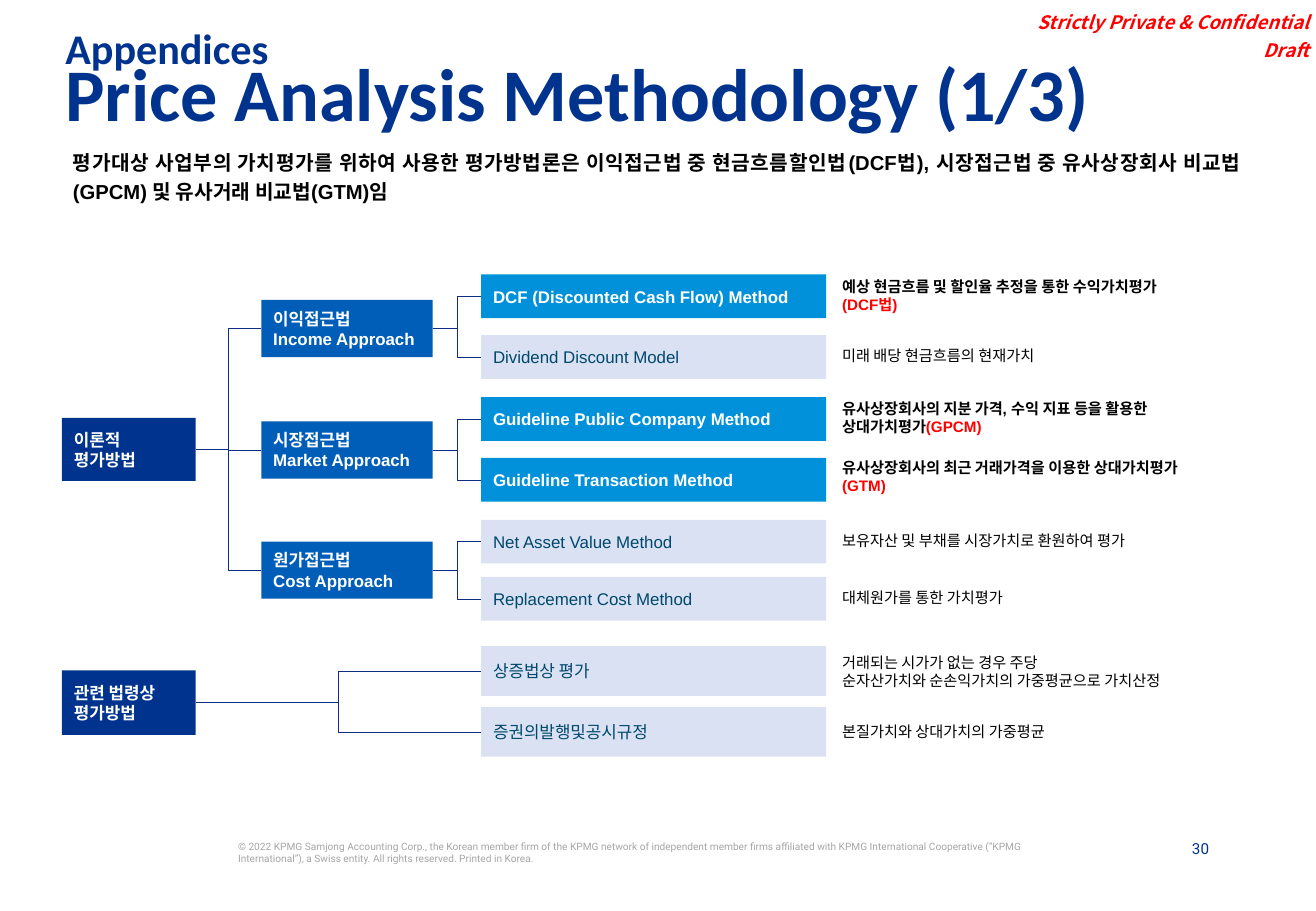
from dataclasses import dataclass

from lxml import etree
from pptx import Presentation
from pptx import util as u
from pptx.dml.color import RGBColor
from pptx.enum import shapes, text
from pptx.oxml import ns

NAVY, BLUE, SKY, PALE = "00338D", "005EB8", "0091DA", "D9E1F2"
WHITE, TEAL, BLACK, RED, GREY, LINE = "FFFFFF", "00486D", "000000", "FF0000", "A6A6A6", "0C2D83"
ROOT_LEFT, APPROACH_LEFT, METHOD_LEFT, NOTE_LEFT = 0.51, 2.15, 3.96, 6.87
ROOT_WIDTH, APPROACH_WIDTH, METHOD_WIDTH, NOTE_WIDTH = 1.1, 1.41, 2.84, 2.92
APPROACH_HEIGHT = 0.47
NOTE_RISE = 0.01


@dataclass
class Method:
    name: str
    note: str
    top: float
    tag: str = ""  # a tagged method is one that was applied
    height: float = 0.36
    note_rise: float = NOTE_RISE


@dataclass
class Approach:
    name: str
    top: float
    methods: list[Method]


@dataclass
class Root:
    name: str
    top: float
    height: float
    approaches: list[Approach]
    methods: list[Method]


@dataclass
class Style:
    size: float
    color: str
    bold: bool = False
    italic: bool = False
    font: str = "Arial"
    align: text.PP_ALIGN = text.PP_ALIGN.LEFT
    line_spacing: float = 1.0
    space_between: float = 0
    hanging: float = 0


ROOTS = [
    Root("이론적\n평가방법", 3.44, 0.52, [
        Approach("이익접근법\nIncome Approach", 2.47, [
            Method("DCF (Discounted Cash Flow) Method",
                   "예상 현금흐름 및 할인율 추정을 통한 수익가치평가", 2.26, "(DCF법)"),
            Method("Dividend Discount Model", "미래 배당 현금흐름의 현재가치", 2.76),
        ]),
        Approach("시장접근법\nMarket Approach", 3.47, [
            Method("Guideline Public Company Method",
                   "유사상장회사의 지분 가격, 수익 지표 등을 활용한 상대가치평가", 3.27, "(GPCM)"),
            Method("Guideline Transaction Method",
                   "유사상장회사의 최근 거래가격을 이용한 상대가치평가", 3.77, "(GTM)", note_rise=0.03),
        ]),
        Approach("원가접근법\nCost Approach", 4.46, [
            Method("Net Asset Value Method", "보유자산 및 부채를 시장가치로 환원하여 평가", 4.28),
            Method("Replacement Cost Method", "대체원가를 통한 가치평가", 4.75),
        ]),
    ], []),
    Root("관련 법령상\n평가방법", 5.52, 0.53, [], [
        Method("상증법상 평가",
               "거래되는 시가가 없는 경우 주당\v순자산가치와 순손익가치의 가중평균으로 가치산정",
               5.32, height=0.41, note_rise=0),
        Method("증권의발행및공시규정", "본질가치와 상대가치의 가중평균", 5.82, height=0.41, note_rise=0),
    ]),
]


def rgb(color: str) -> RGBColor:
    return RGBColor.from_string(color)


def write(shape, content: str, style: Style, insets=(0.1, 0.05, 0.1, 0.05),
          anchor=text.MSO_ANCHOR.TOP, wrap=True) -> None:
    """Fill a shape with one styled paragraph per line of content."""
    frame = shape.text_frame
    frame.word_wrap = wrap
    frame.vertical_anchor = anchor
    (frame.margin_left, frame.margin_top,
     frame.margin_right, frame.margin_bottom) = map(u.Inches, insets)
    for index, line in enumerate(content.split("\n")):
        para = frame.add_paragraph() if index else frame.paragraphs[0]
        para.text = line
        para.alignment = style.align
        para.line_spacing = style.line_spacing
        if index and style.space_between:
            para.space_before = u.Pt(style.space_between)
        if style.hanging:
            properties = para._p.get_or_add_pPr()
            properties.set("marL", str(u.Inches(style.hanging)))
            properties.set("indent", str(-u.Inches(style.hanging)))
        font = para.font
        font.name, font.size = style.font, u.Pt(style.size)
        font.bold, font.italic = style.bold, style.italic
        font.color.rgb = rgb(style.color)


def add_text(page, area, content: str, style: Style, **layout):
    box = page.shapes.add_textbox(*map(u.Inches, area))
    write(box, content, style, **layout)
    return box


def add_box(page, area, name: str, fill: str, color=WHITE, bold=True):
    box = page.shapes.add_shape(shapes.MSO_SHAPE.RECTANGLE, *map(u.Inches, area))
    box.shadow.inherit = False
    box.fill.solid()
    box.fill.fore_color.rgb = rgb(fill)
    box.line.fill.background()
    write(box, name, Style(10, color, bold, hanging=0.31),
          anchor=text.MSO_ANCHOR.MIDDLE, wrap=False)
    return box


def link(page, parent, child) -> None:
    """Join the right side of parent to the left side of child."""
    elbow = page.shapes.add_connector(shapes.MSO_CONNECTOR.ELBOW, 0, 0, 0, 0)
    elbow.begin_connect(parent, 3)
    elbow.end_connect(child, 1)
    elbow.line.color.rgb = rgb(LINE)
    elbow.line.width = u.Pt(0.25)
    etree.SubElement(elbow._element.spPr, ns.qn("a:effectLst"))


def add_method(page, parent, method: Method) -> None:
    applied = bool(method.tag)
    box = add_box(page, (METHOD_LEFT, method.top, METHOD_WIDTH, method.height), method.name,
                  SKY if applied else PALE, WHITE if applied else TEAL, applied)
    link(page, parent, box)
    note = add_text(page, (NOTE_LEFT, method.top - method.note_rise, NOTE_WIDTH, method.height),
                    method.note, Style(9, BLACK, applied),
                    insets=(0.06,) * 4, anchor=text.MSO_ANCHOR.MIDDLE)
    if applied:
        span = note.text_frame.paragraphs[0].add_run()
        span.text = method.tag
        span.font.color.rgb = rgb(RED)


def add_tree(page, root: Root) -> None:
    root_box = add_box(page, (ROOT_LEFT, root.top, ROOT_WIDTH, root.height), root.name, NAVY)
    for approach in root.approaches:
        area = (APPROACH_LEFT, approach.top, APPROACH_WIDTH, APPROACH_HEIGHT)
        box = add_box(page, area, approach.name, BLUE)
        link(page, root_box, box)
        for method in approach.methods:
            add_method(page, box, method)
    for method in root.methods:
        add_method(page, root_box, method)


def main() -> None:
    deck = Presentation()
    deck.slide_width, deck.slide_height = u.Inches(10.83), u.Inches(7.5)
    page = deck.slides.add_slide(deck.slide_layouts[6])
    flush = (0,) * 4
    right = text.PP_ALIGN.RIGHT

    add_text(page, (8.32, -0.01, 2.5, 0.55), "Strictly Private & Confidential\nDraft",
             Style(11, RED, True, True, "Noto Sans CJK KR", right, space_between=3),
             insets=(0, 0.04, 0.04, 0.04), anchor=text.MSO_ANCHOR.BOTTOM)
    add_text(page, (0.44, 0.25, 9.4, 0.3), "Appendices",
             Style(25, NAVY, True, font="Calibri", line_spacing=0.7))
    add_text(page, (0.44, 0.54, 9.4, 0.64), "Price Analysis Methodology (1/3)",
             Style(44, NAVY, True, font="Calibri", line_spacing=0.7))
    add_text(page, (0.6, 1.2, 9.61, 0.54),
             "평가대상 사업부의 가치평가를 위하여 사용한 평가방법론은 이익접근법 중 현금흐름할인법(DCF법), "
             "시장접근법 중 유사상장회사 비교법(GPCM) 및 유사거래 비교법(GTM)임",
             Style(12, BLACK, True, align=text.PP_ALIGN.JUSTIFY, line_spacing=1.2), insets=flush)
    for root in ROOTS:
        add_tree(page, root)
    add_text(page, (1.96, 6.92, 6.53, 0.5),
             "© 2022 KPMG Samjong Accounting Corp., the Korean member firm of the KPMG network of "
             "independent member firms affiliated with KPMG International Cooperative (“KPMG "
             "International”), a Swiss entity. All rights reserved. Printed in Korea.",
             Style(6, GREY, font="Roboto"), insets=flush)
    add_text(page, (9.52, 6.91, 0.43, 0.16), "30",
             Style(9, NAVY, font="Roboto", align=right), insets=flush)
    deck.save("out.pptx")


if __name__ == "__main__":
    main()
